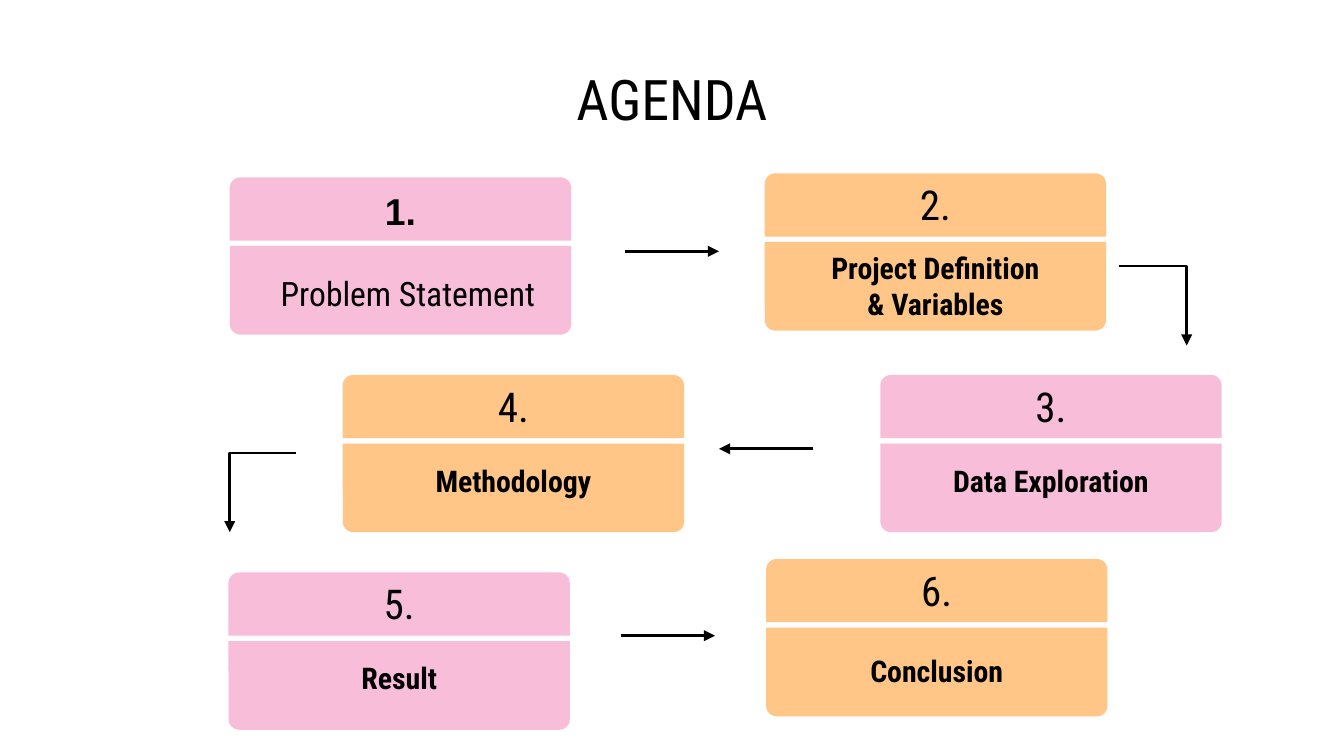
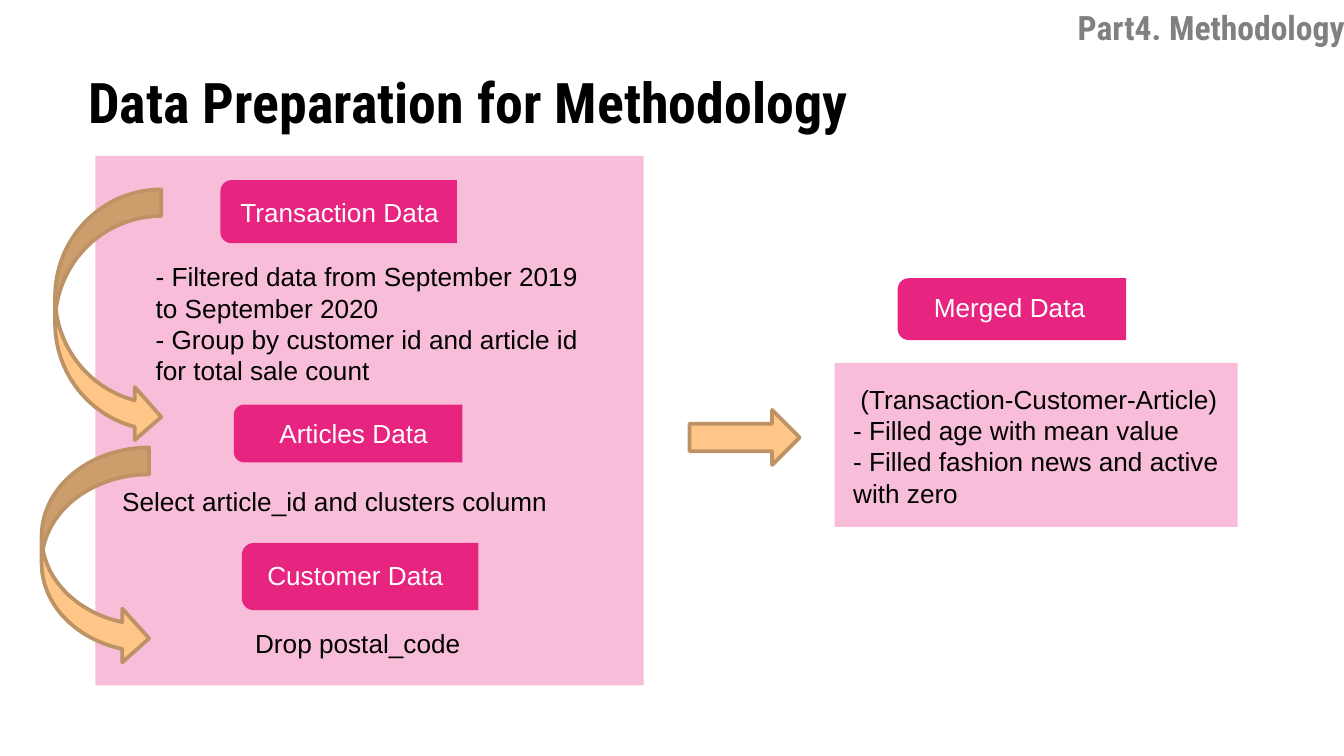
import pptx
import pptx.util
import pptx.dml.color
import pptx.enum.shapes
import pptx.enum.text
import pptx.oxml.ns
from lxml import etree

Inches = pptx.util.Inches
Pt = pptx.util.Pt
SHAPE = pptx.enum.shapes.MSO_SHAPE
CONNECTOR = pptx.enum.shapes.MSO_CONNECTOR
ALIGN = pptx.enum.text.PP_ALIGN
ANCHOR = pptx.enum.text.MSO_ANCHOR
qn = pptx.oxml.ns.qn

PINK, ORANGE, MAGENTA = "F8BDD9", "FFC687", "E72480"
BLACK, WHITE, GREY, BROWN = "000000", "FFFFFF", "808080", "BD9264"
HEADING, BODY = "Roboto Condensed", "Arial"

# Agenda cards: left, top, fill, label, label offset below the card top
CARD_W, HEAD_H, BODY_H, BODY_DY = 2.54, 0.47, 0.66, 0.51
LABEL_W, LABEL_H, NUMBER_H, NUMBER_DY = 2.27, 0.59, 0.3, 0.08
CARDS = [
    (1.71, 1.32, PINK, "Problem Statement", 0.66),
    (5.69, 1.29, ORANGE, "Project Definition\n& Variables", 0.47),
    (6.55, 2.79, PINK, "Data Exploration", 0.55),
    (2.55, 2.79, ORANGE, "Methodology", 0.55),
    (1.70, 4.26, PINK, "Result", 0.55),
    (5.70, 4.16, ORANGE, "Conclusion", 0.60),
]
# Agenda arrows: start x, start y, end x, end y
ARROWS = [
    (4.65, 1.87, 5.35, 1.87),
    (8.33, 1.98, 8.83, 2.57),
    (6.05, 3.34, 5.35, 3.34),
    (2.20, 3.37, 1.71, 3.96),
    (4.62, 4.73, 5.32, 4.73),
]

# Data preparation: each box is left, top, width, height
PANELS = [(0.71, 1.16, 4.08, 3.94), (6.21, 2.7, 3, 1.22)]
TAGS = [
    # tag box, text box, text
    ((1.64, 1.34, 1.76, 0.47), (1.69, 1.41, 3, 0.34), "Transaction Data"),
    ((1.74, 3.01, 1.7, 0.43), (1.98, 3.06, 2.89, 0.34), "Articles Data"),
    ((1.8, 4.04, 1.76, 0.5), (1.89, 4.11, 1.58, 0.35), "Customer Data"),
    ((6.68, 2.07, 1.7, 0.46), (6.85, 2.12, 3, 0.34), "Merged Data"),
]
DETAILS = [
    ((1.06, 1.89, 3.42, 1.04), [
        "- Filtered data from September 2019 to September 2020",
        "- Group by customer id and article id for total sale count"]),
    ((0.81, 3.56, 3.98, 0.34), ["Select article_id and clusters column"]),
    ((1.8, 4.62, 3.4, 0.34), ["Drop postal_code"]),
    ((6.25, 2.8, 2.96, 1.04), [
        " (Transaction-Customer-Article)",
        "- Filled age with mean value",
        "- Filled fashion news and active with zero"]),
]
BLOCK_ARROWS = [
    (SHAPE.RIGHT_ARROW, (5.13, 3.05, 0.82, 0.41)),
    (SHAPE.CURVED_RIGHT_ARROW, (0.41, 1.41, 0.79, 1.89)),
    (SHAPE.CURVED_RIGHT_ARROW, (0.31, 3.33, 0.8, 1.62)),
]


def rgb(color):
    return pptx.dml.color.RGBColor.from_string(color)


def write(s, lines, size, font=HEADING, color=BLACK, bold=False,
          align=ALIGN.LEFT, anchor=ANCHOR.TOP, pad=0.05):
    """Fill a shape or text box; pad is the inset above and below the text."""
    tf = s.text_frame
    tf.word_wrap = True
    tf.vertical_anchor = anchor
    tf.margin_left = tf.margin_right = Inches(0.1)
    tf.margin_top = tf.margin_bottom = Inches(pad)
    for i, line in enumerate(lines):
        p = tf.add_paragraph() if i else tf.paragraphs[0]
        p.text = line
        p.alignment = align
        p.font.name, p.font.size, p.font.bold = font, Pt(size), bold
        p.font.color.rgb = rgb(color)


def add_text(slide, box, lines, size, **style):
    write(slide.shapes.add_textbox(*map(Inches, box)), lines, size, **style)


def add_shape(slide, kind, box, fill, line=None):
    s = slide.shapes.add_shape(kind, *map(Inches, box))
    s.shadow.inherit = False
    s.fill.solid()
    s.fill.fore_color.rgb = rgb(fill)
    if line:
        s.line.color.rgb = rgb(line)
        s.line.width = Pt(2)
    else:
        s.line.fill.background()
    return s


def add_rounded(slide, box, fill, radius, rotation=0):
    """Box with two round corners: on top, at the left (270) or below (180)."""
    x, y, w, h = box
    if rotation == 270:
        box = (x + (w - h) / 2, y + (h - w) / 2, h, w)
    s = add_shape(slide, SHAPE.ROUND_2_SAME_RECTANGLE, box, fill)
    s.adjustments[0], s.adjustments[1] = radius, 0
    s.rotation = rotation
    return s


def add_arrow(slide, x1, y1, x2, y2):
    """Straight arrow, or one that runs sideways and then turns down."""
    bent = y1 != y2
    c = slide.shapes.add_connector(
        CONNECTOR.ELBOW if bent else CONNECTOR.STRAIGHT,
        *map(Inches, (x1, y1, x2, y2)))
    c.line.color.rgb = rgb(BLACK)
    c.line.width = Pt(1.5)
    spPr = c._element.spPr
    if bent:
        spPr.find(qn("a:prstGeom")).set("prst", "bentConnector2")
    etree.SubElement(spPr.find(qn("a:ln")), qn("a:tailEnd"), type="triangle")
    etree.SubElement(spPr, qn("a:effectLst"))


def add_card(slide, number, left, top, fill, label, label_dy):
    head = add_rounded(slide, (left, top, CARD_W, HEAD_H), fill, 0.167)
    add_rounded(slide, (left, top + BODY_DY, CARD_W, BODY_H), fill, 0.119, 180)
    centred = {"align": ALIGN.CENTER, "pad": 0.1}
    if number == 1:
        write(head, ["1."], 20, font=BODY, bold=True, anchor=ANCHOR.MIDDLE,
              **centred)
        add_text(slide, (left + 0.28, top + label_dy, 3, 0.4), [label], 18)
        return
    x = left + (CARD_W - LABEL_W) / 2
    add_text(slide, (x, top + NUMBER_DY, LABEL_W, NUMBER_H), [f"{number}."],
             22, anchor=ANCHOR.MIDDLE, **centred)
    add_text(slide, (x, top + label_dy, LABEL_W, LABEL_H), [label], 16,
             bold=True, **centred)


def build_agenda(slide):
    add_text(slide, (0.5, 0.45, 9, 0.56), ["AGENDA"], 30,
             align=ALIGN.CENTER, anchor=ANCHOR.MIDDLE, pad=0.1)
    for number, card in enumerate(CARDS, 1):
        add_card(slide, number, *card)
    for arrow in ARROWS:
        add_arrow(slide, *arrow)


def build_data_preparation(slide):
    for box in PANELS:
        add_shape(slide, SHAPE.RECTANGLE, box, PINK)
    add_text(slide, (0.56, 0.45, 8.36, 0.61),
             ["Data Preparation for Methodology"], 30, bold=True)
    add_text(slide, (7.92, 0, 3, 0.4), ["Part4. Methodology"], 18,
             color=GREY, bold=True)
    for box, text_box, text in TAGS:
        add_rounded(slide, box, MAGENTA, 0.176, 270)
        add_text(slide, text_box, [text], 14, font=BODY, color=WHITE)
    for box, lines in DETAILS:
        add_text(slide, box, lines, 14, font=BODY)
    for kind, box in BLOCK_ARROWS:
        add_shape(slide, kind, box, ORANGE, BROWN)


def main():
    prs = pptx.Presentation()
    prs.slide_width = Inches(10)
    prs.slide_height = prs.slide_width * 9 // 16
    for build in (build_agenda, build_data_preparation):
        build(prs.slides.add_slide(prs.slide_layouts[6]))
    prs.save("out.pptx")


if __name__ == "__main__":
    main()
